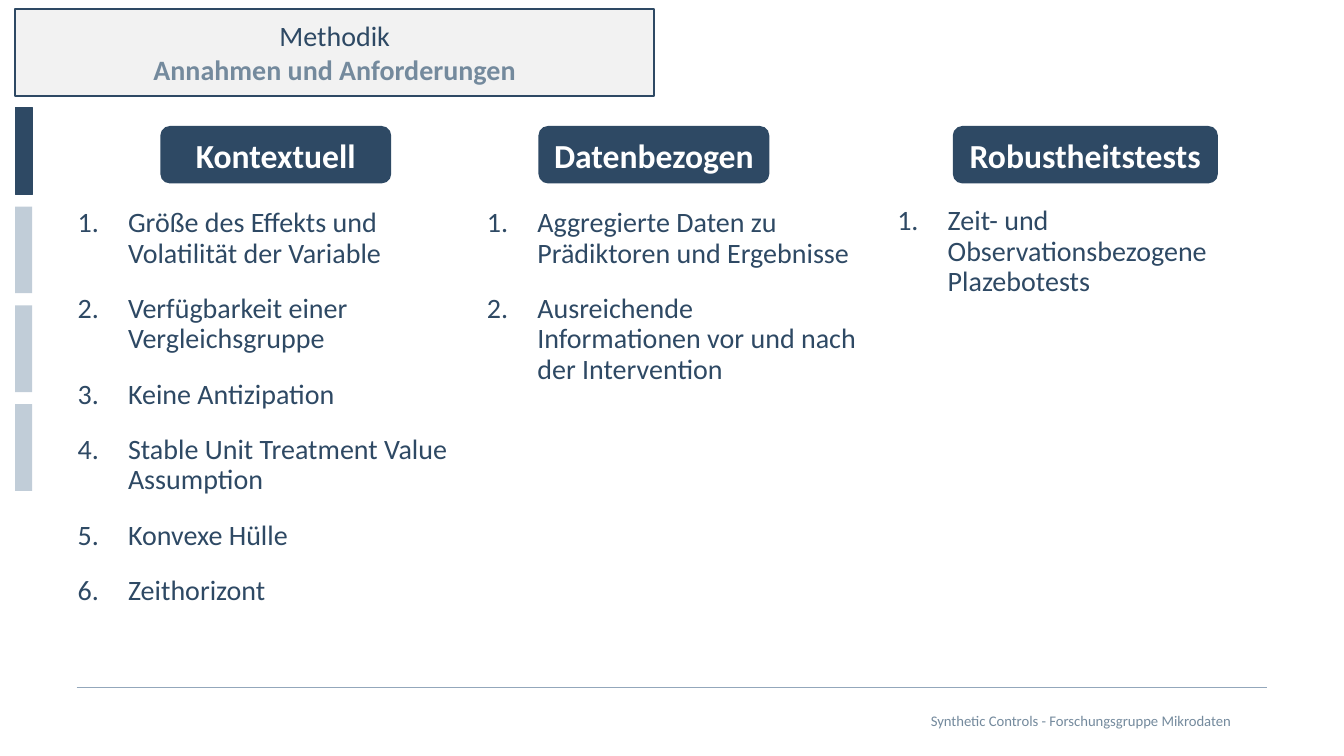
from lxml import etree
from pptx import Presentation
from pptx.dml.color import RGBColor
from pptx.enum.shapes import MSO_CONNECTOR as Connector, MSO_SHAPE as Shape
from pptx.enum.text import MSO_ANCHOR as Anchor, PP_ALIGN as Align
from pptx.oxml.ns import qn
from pptx.util import Inches, Pt

# Content
TITLE = ("Methodik", "Annahmen und Anforderungen")
FOOTER = "Synthetic Controls - Forschungsgruppe Mikrodaten"
SECTION_COUNT, CURRENT_SECTION = 4, 0
COLUMNS = [
    {"heading": "Kontextuell", "heading_box": (1.59, 2.29),
     "list_at": (0.77, 2.07),
     "points": ["Größe des Effekts und Volatilität der Variable",
                "Verfügbarkeit einer Vergleichsgruppe",
                "Keine Antizipation",
                "Stable Unit Treatment Value Assumption",
                "Konvexe Hülle",
                "Zeithorizont"]},
    {"heading": "Datenbezogen", "heading_box": (5.34, 2.29),
     "list_at": (4.83, 2.07),
     "points": ["Aggregierte Daten zu Prädiktoren und Ergebnisse",
                "Ausreichende Informationen vor und nach der Intervention"]},
    {"heading": "Robustheitstests", "heading_box": (9.45, 2.63),
     "list_at": (8.9, 2.05),
     "points": ["Zeit- und Observationsbezogene Plazebotests"]},
]

THEME = {
    "font": "Calibri",
    "navy": "2E4964", "slate": "748A9D", "mist": "C1CDD8",
    "rule": "93A7BB", "panel": "F2F2F2", "white": "FFFFFF",
    "heading": 24, "body": 20, "footer": 10.5,
}

# Layout in inches
LEFT_EDGE, TOP_EDGE = 0.15, 0.09
TITLE_WIDTH, BLOCK_HEIGHT, BLOCK_STEP = 6.34, 0.86, 0.98
MARKER_WIDTH = 0.17
HEADING_TOP, HEADING_HEIGHT = 1.25, 0.57
LIST_WIDTH, LIST_BOTTOM = 3.67, 6.39
RULE_LEFT, RULE_RIGHT, RULE_TOP = 0.76, 12.57, 6.82
FOOTER_BOX = (6.04, 6.95, 6.17, 0.4)
PADDING, NUMBER_INDENT = 0.08, 0.5


def color(name):
    return RGBColor.from_string(THEME[name])


def apply(target, formats):
    for attribute, value in formats.items():
        setattr(target, attribute, value)


def write(paragraph, text, size, ink, bold=False):
    run = paragraph.add_run()
    run.text = text
    apply(run.font, {"name": THEME["font"], "size": Pt(THEME[size]), "bold": bold})
    run.font.color.rgb = color(ink)


def set_frame(frame, padding, anchor):
    apply(frame, {"word_wrap": True, "vertical_anchor": anchor})
    apply(frame, dict.fromkeys(
        ("margin_left", "margin_top", "margin_right", "margin_bottom"), Inches(padding)))


def add_block(slide, kind, box, fill, outline=None, weight=0.75):
    block = slide.shapes.add_shape(kind, *map(Inches, box))
    block.shadow.inherit = False
    block.fill.solid()
    block.fill.fore_color.rgb = color(fill)
    if outline:
        block.line.color.rgb = color(outline)
        block.line.width = Pt(weight)
    else:
        block.line.fill.background()
    set_frame(block.text_frame, PADDING, Anchor.MIDDLE)
    paragraph = block.text_frame.paragraphs[0]
    paragraph.alignment = Align.CENTER
    return paragraph


def add_text_frame(slide, box, anchor):
    frame = slide.shapes.add_textbox(*map(Inches, box)).text_frame
    set_frame(frame, 0, anchor)
    return frame


def number(paragraph):
    properties = paragraph._p.get_or_add_pPr()
    properties.set("marL", str(Inches(NUMBER_INDENT)))
    properties.set("indent", str(-Inches(NUMBER_INDENT)))
    etree.SubElement(properties, qn("a:buFont"), typeface="+mj-lt")
    etree.SubElement(properties, qn("a:buAutoNum"), type="arabicPeriod")


def add_numbered_list(slide, left, top, points):
    frame = add_text_frame(slide, (left, top, LIST_WIDTH, LIST_BOTTOM - top), Anchor.TOP)
    for index, point in enumerate(points):
        paragraph = frame.add_paragraph() if index else frame.paragraphs[0]
        apply(paragraph, {"line_spacing": 0.9, "space_before": Pt(18)})
        number(paragraph)
        write(paragraph, point, "body", "navy")


def main():
    deck = Presentation()
    apply(deck, {"slide_width": Inches(13.33), "slide_height": Inches(7.5)})
    slide = deck.slides.add_slide(deck.slide_layouts[6])

    # Footer with rule
    rule = slide.shapes.add_connector(
        Connector.STRAIGHT, *map(Inches, (RULE_LEFT, RULE_TOP, RULE_RIGHT, RULE_TOP)))
    rule.line.color.rgb = color("rule")
    rule.line.width = Pt(1)
    etree.SubElement(rule._element.spPr, qn("a:effectLst"))
    footer = add_text_frame(slide, FOOTER_BOX, Anchor.MIDDLE).paragraphs[0]
    footer.alignment = Align.RIGHT
    write(footer, FOOTER, "footer", "slate")

    # Section markers
    for section in range(SECTION_COUNT):
        top = TOP_EDGE + BLOCK_STEP * (section + 1)
        current = section == CURRENT_SECTION
        add_block(slide, Shape.RECTANGLE, (LEFT_EDGE, top, MARKER_WIDTH, BLOCK_HEIGHT),
                  "navy" if current else "mist", "navy" if current else None)

    # Title panel
    title = add_block(slide, Shape.RECTANGLE, (LEFT_EDGE, TOP_EDGE, TITLE_WIDTH, BLOCK_HEIGHT),
                      "panel", "navy", 1.5)
    topic, subtopic = TITLE
    write(title, topic, "body", "navy")
    title.add_line_break()
    write(title, subtopic, "body", "slate", bold=True)

    # Columns
    for column in COLUMNS:
        left, width = column["heading_box"]
        heading = add_block(slide, Shape.ROUNDED_RECTANGLE,
                            (left, HEADING_TOP, width, HEADING_HEIGHT), "navy")
        write(heading, column["heading"], "heading", "white", bold=True)
        add_numbered_list(slide, *column["list_at"], column["points"])

    deck.save("out.pptx")


if __name__ == "__main__":
    main()
